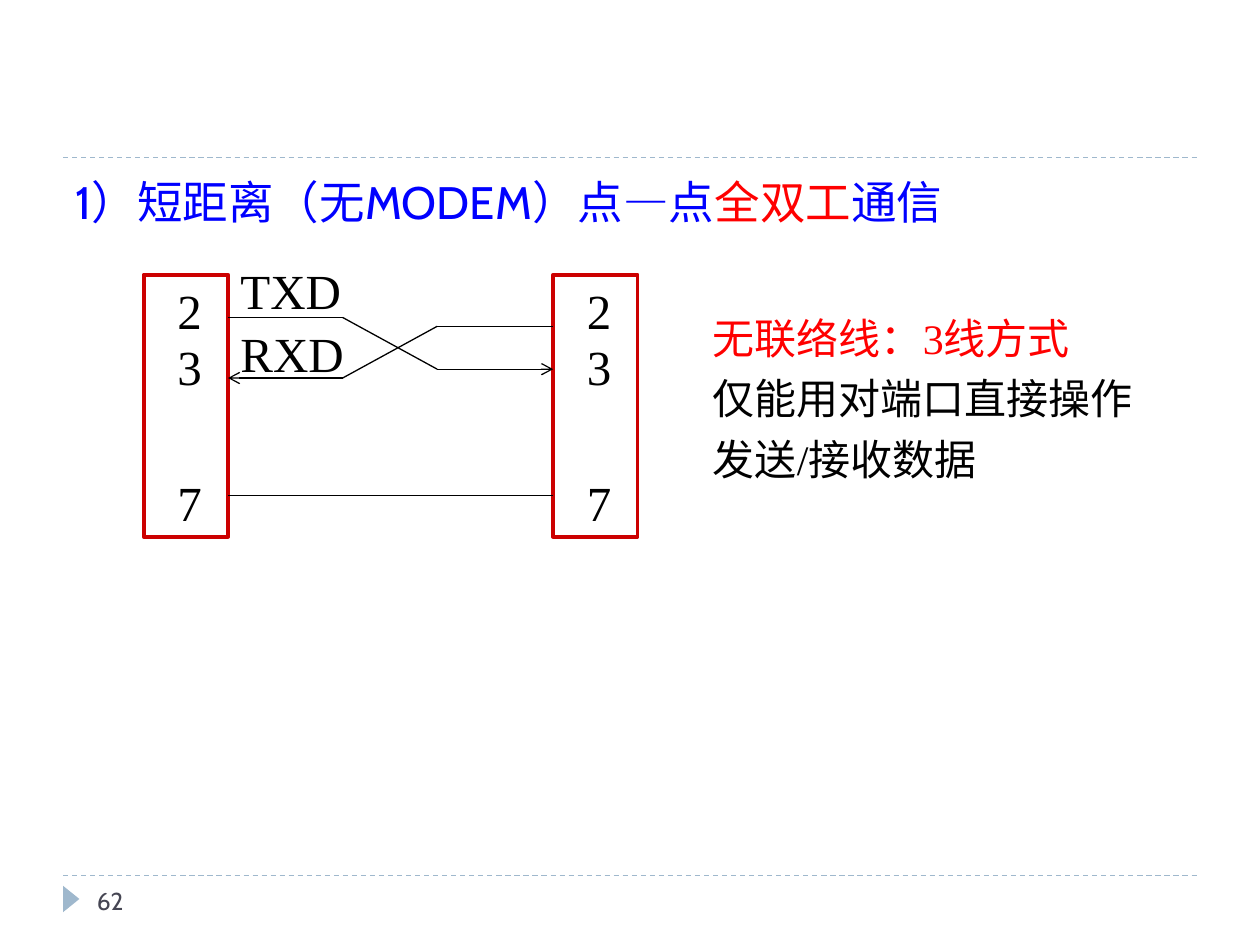
from dataclasses import dataclass

import pptx
import pptx.dml.color
import pptx.enum.dml
import pptx.enum.shapes
import pptx.enum.text
import pptx.oxml
import pptx.oxml.ns
import pptx.util

ANCHOR = pptx.enum.text.MSO_ANCHOR
SHAPE = pptx.enum.shapes.MSO_SHAPE


@dataclass(frozen=True)
class Theme:
    heading_font: str = "Cabin"
    diagram_font: str = "Times New Roman"
    heading_size: float = 26
    label_size: float = 28
    note_size: float = 24
    number_size: float = 14
    blue: str = "0000FF"
    red: str = "FF0000"
    frame: str = "CC0000"
    black: str = "000000"
    rule: str = "9FB8CD"
    number: str = "464653"


def rgb(value):
    return pptx.dml.color.RGBColor.from_string(value)


class SlideBuilder:
    """Places elements on a grid of 100 columns by 75 rows."""

    def __init__(self, presentation, theme):
        self.theme = theme
        self.column = presentation.slide_width / 100
        self.row = presentation.slide_height / 75
        self.slide = presentation.slides.add_slide(presentation.slide_layouts[1])
        title = self.slide.shapes.title
        title.element.getparent().remove(title.element)

    def place(self, left, top, width, height):
        return (round(left * self.column), round(top * self.row),
                round(width * self.column), round(height * self.row))

    def add_runs(self, paragraph, runs, font, size):
        for text, color in runs:
            run = paragraph.add_run()
            run.text = text
            run.font.color.rgb = rgb(color)
        paragraph.font.name = font
        paragraph.font.size = pptx.util.Pt(size)

    def heading(self, box, runs):
        body = self.slide.placeholders[1]
        body.left, body.top, body.width, body.height = self.place(*box)
        body.text_frame.auto_size = pptx.enum.text.MSO_AUTO_SIZE.NONE
        paragraph = body.text_frame.paragraphs[0]
        properties = paragraph._p.get_or_add_pPr()
        properties.set("marL", "0")
        properties.set("indent", "0")
        properties.append(pptx.oxml.parse_xml(
            "<a:buNone %s/>" % pptx.oxml.ns.nsdecls("a")))
        paragraph.space_before = pptx.util.Pt(0)
        self.add_runs(paragraph, runs, self.theme.heading_font, self.theme.heading_size)

    def text(self, box, lines, color, size, font=None, spacing=1.0, anchor=ANCHOR.TOP):
        """Each line is a (text, color) pair; a plain string takes the given color."""
        frame = self.slide.shapes.add_textbox(*self.place(*box)).text_frame
        frame.word_wrap = True
        frame.vertical_anchor = anchor
        for index, line in enumerate(lines):
            paragraph = frame.add_paragraph() if index else frame.paragraphs[0]
            paragraph.line_spacing = spacing
            run = (line, color) if isinstance(line, str) else line
            self.add_runs(paragraph, [run], font or self.theme.diagram_font, size)

    def shape(self, kind, box, fill=None, line=None, rotation=0):
        shape = self.slide.shapes.add_shape(kind, *self.place(*box))
        shape.shadow.inherit = False
        shape.rotation = rotation
        if fill:
            shape.fill.solid()
            shape.fill.fore_color.rgb = rgb(fill)
        else:
            shape.fill.background()
        if line:
            shape.line.color.rgb = rgb(line)
            shape.line.width = pptx.util.Pt(2.25)
        else:
            shape.line.fill.background()

    def line(self, start, end, color, dashed=False, arrow=False):
        connector = self.slide.shapes.add_connector(
            pptx.enum.shapes.MSO_CONNECTOR.STRAIGHT,
            *self.place(*start, *end))
        connector.line.color.rgb = rgb(color)
        connector.line.width = pptx.util.Pt(0.75)
        if dashed:
            connector.line.dash_style = pptx.enum.dml.MSO_LINE.DASH
        namespace = pptx.oxml.ns.nsdecls("a")
        properties = connector.element.spPr
        if arrow:
            properties.get_or_add_ln().append(
                pptx.oxml.parse_xml('<a:tailEnd %s type="arrow"/>' % namespace))
        properties.append(pptx.oxml.parse_xml("<a:effectLst %s/>" % namespace))

    def wire(self, points, arrow=False):
        """Joins the points with lines; the last one may carry an arrowhead."""
        for index, (start, end) in enumerate(zip(points, points[1:]), 2):
            self.line(start, end, self.theme.black,
                      arrow=arrow and index == len(points))


def main():
    theme = Theme()
    presentation = pptx.Presentation()
    presentation.slide_width = pptx.util.Inches(10)
    presentation.slide_height = pptx.util.Inches(7.5)
    builder = SlideBuilder(presentation, theme)

    # Page rules and footer marker
    for row in (69.5, 12.5):
        builder.line((5, row), (95, row), theme.rule, dashed=True)
    builder.shape(SHAPE.ISOSCELES_TRIANGLE, (4.6, 70.7, 2.1, 1.3),
                  fill=theme.rule, rotation=90)

    # Heading
    builder.heading((5, 13.3, 90, 54), [
        ("1）短距离（无MODEM）点—点", theme.blue),
        ("全双工", theme.red),
        ("通信", theme.blue),
    ])

    # Two ports with their pin numbers
    port_top, port_width = 21.8, 6.7
    left_port, right_port = 11.4, 43.9
    for port in (left_port, right_port):
        builder.shape(SHAPE.RECTANGLE, (port, port_top, port_width, 20.8),
                      line=theme.frame)
        for pin, row in (("2", port_top), ("3", 26.2), ("7", 37)):
            builder.text((port + 1.7, row, port_width, 5.7), [pin],
                         theme.black, theme.label_size)

    # Crossed signal wires and the common ground
    left_edge = left_port + port_width
    bend_left, bend_right = 27.2, 34.7
    for signal, row in (("TXD", 20.2), ("RXD", 25.2)):
        builder.text((left_edge, row, 12.5, 5.7), [signal],
                     theme.black, theme.label_size)
    builder.wire([(left_edge, 25.2), (bend_left, 25.2),
                  (bend_right, 29.3), (right_port, 29.3)], arrow=True)
    builder.wire([(right_port, 25.9), (bend_right, 25.9),
                  (bend_left, 30), (left_edge, 30)], arrow=True)
    builder.wire([(left_edge, 39.3), (right_port, 39.3)])

    # Explanation
    builder.text((55.6, 23.5, 38.3, 15.6),
                 [("无联络线：3线方式", theme.red), "仅能用对端口直接操作发送/接收数据"],
                 theme.black, theme.note_size, spacing=1.2)

    # Page number
    builder.text((6.7, 69.5, 21.7, 4), ["62"], theme.number, theme.number_size,
                 font=theme.heading_font, anchor=ANCHOR.MIDDLE)

    presentation.save("out.pptx")


if __name__ == "__main__":
    main()
